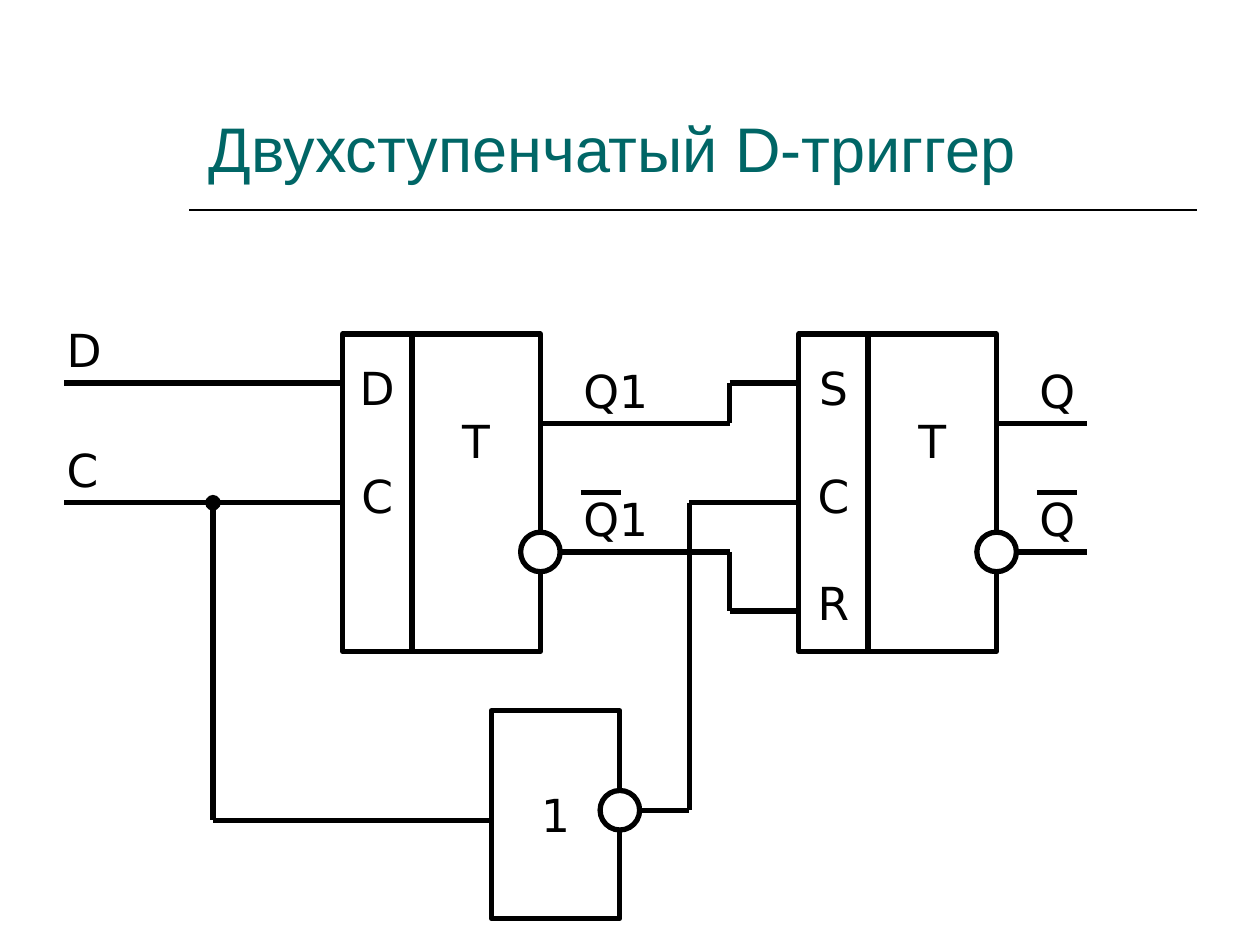
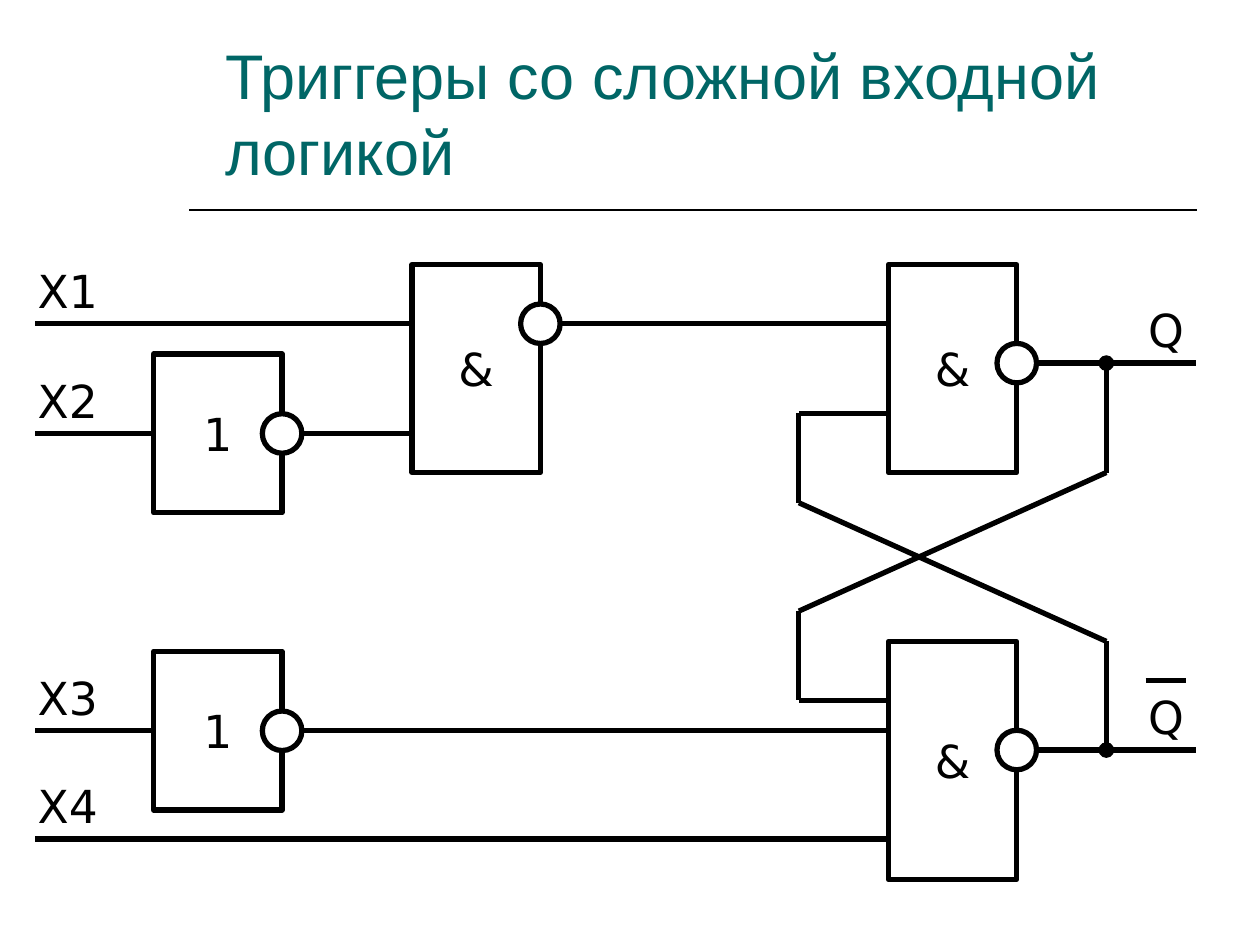
from lxml import etree
from pptx import Presentation
from pptx.dml.color import RGBColor
from pptx.enum.shapes import MSO_CONNECTOR, MSO_SHAPE
from pptx.enum.text import MSO_ANCHOR, PP_ALIGN
from pptx.oxml.ns import qn
from pptx.util import Pt

BLACK = RGBColor(0x00, 0x00, 0x00)
WHITE = RGBColor(0xFF, 0xFF, 0xFF)
TEAL = RGBColor(0x00, 0x66, 0x66)
RECT, OVAL = MSO_SHAPE.RECTANGLE, MSO_SHAPE.OVAL
STRAIGHT = MSO_CONNECTOR.STRAIGHT
TOP, MIDDLE, BOTTOM = MSO_ANCHOR.TOP, MSO_ANCHOR.MIDDLE, MSO_ANCHOR.BOTTOM
LEFT, CENTER = PP_ALIGN.LEFT, PP_ALIGN.CENTER

STROKE = 3
GATE = 73.4      # width of a gate or trigger body
PIN = 39.6       # width of a pin column
TALL = 181.4     # height of a trigger
RING = 22.6      # diameter of an inversion ring
LIFT = 38.2      # label top above its wire
ROW = 30.25      # one line of label text


def put(page, text, x, y, w, h, kind=None, size=26, font="DejaVu Sans",
        color=BLACK, align=LEFT, anchor=TOP, top=3.6, gap=0, wrap=True):
    """Add a text box, or an outlined white shape if kind is given."""
    place = Pt(x), Pt(y), Pt(w), Pt(h)
    if kind is None:
        item = page.shapes.add_textbox(*place)
    else:
        item = page.shapes.add_shape(kind, *place)
        item.shadow.inherit = False
        item.fill.solid()
        item.fill.fore_color.rgb = WHITE
        item.line.color.rgb = BLACK
        item.line.width = Pt(STROKE)
    frame = item.text_frame
    frame.word_wrap = wrap
    frame.vertical_anchor = anchor
    frame.margin_top = Pt(top)
    if text:
        frame.text = text
        for i, para in enumerate(frame.paragraphs):
            para.alignment = align
            if i:
                para.space_before = Pt(gap)
            para.font.size = Pt(size)
            para.font.name = font
            para.font.color.rgb = color
    return item


def wire(page, *spots, dot=False, goal=None, width=STROKE):
    """Join the spots by straight lines; goal is a box met at its left side."""
    for i, (start, end) in enumerate(zip(spots, spots[1:])):
        line = page.shapes.add_connector(STRAIGHT, *map(Pt, start + end))
        line.line.color.rgb = BLACK
        line.line.width = Pt(width)
        if dot and i == 0:
            ln = line.line._get_or_add_ln()
            etree.SubElement(ln, qn("a:headEnd"), type="oval")
        etree.SubElement(line._element.spPr, qn("a:effectLst"))
    if goal is not None:
        line.end_connect(goal, 1)


deck = Presentation()
deck.slide_width, deck.slide_height = Pt(720), Pt(540)

# Titles and the rule below them
titles = [
    ("Двухступенчатый D-триггер", 112.3, 28.1, 567.4, 81.4),
    ("Триггеры со сложной входной логикой", 121.7, 5.8, 564.5, 105.1),
]
pages = []
for title, *box in titles:
    page = deck.slides.add_slide(deck.slide_layouts[6])
    wire(page, (108, 120.2), (684, 120.2), width=1)
    put(page, title, *box, size=36, font="Arial", color=TEAL, anchor=BOTTOM)
    pages.append(page)
master, logic = pages

# Slide 1: two triggers and an inverter
for x, pins in [(195.8, "D\nC"), (456.5, "S\nC\nR")]:
    put(master, pins, x, 190.8, PIN, TALL, kind=RECT, align=CENTER,
        top=15, gap=ROW, wrap=False)
    put(master, "T", x + PIN, 190.8, GATE, TALL, kind=RECT, align=CENTER,
        top=45.3, wrap=False)
put(master, "1", 280.8, 406.1, GATE, 118.8, kind=RECT, align=CENTER,
    anchor=MIDDLE, wrap=False)

data, clock, direct, inverse = 218.9, 287.3, 242, 315.4
wire(master, (36.7, data), (195.8, data))
wire(master, (36.7, clock), (195.8, clock))
wire(master, (121.7, clock), (121.7, 468.7), (280.8, 468.7), dot=True)
wire(master, (354.2, 463), (393.8, 463), (393.8, clock), (456.5, clock))
wire(master, (308.8, direct), (417, direct), (417, data), (456.5, data))
wire(master, (308.8, inverse), (417, inverse), (417, 349.2), (456.5, 349.2))
for y in (direct, inverse):
    wire(master, (569.5, y), (621, y))

# Slide 2: gates with their input and output wires
high, second, third, fourth = 185, 247.7, 417.6, 479.5
out, notout = 207.5, 428.6
for x, y, h in [(235.4, 151.2, 118.8), (507.6, 151.2, 118.8), (507.6, 366.5, 136.1)]:
    put(logic, "&", x, y, GATE, h, kind=RECT, align=CENTER, anchor=MIDDLE, wrap=False)
for y, end in [(second, 235.4), (third, 507.6)]:
    gate = put(logic, "1", 87.8, y - 45.35, GATE, 90.7, kind=RECT, align=CENTER,
               anchor=MIDDLE, wrap=False)
    wire(logic, (20.2, y), (87.8, y), goal=gate)
    wire(logic, (161.2, y), (end, y))
wire(logic, (20.2, high), (235.4, high))
wire(logic, (308.8, high), (507.6, high))
wire(logic, (20.2, fourth), (507.6, fourth))

# Outputs and the crossed feedback
for y, *path in [(out, 270, 349.2, 400.3), (notout, 366.5, 287.3, 236.2)]:
    near, far, entry = path
    wire(logic, (581, y), (683.3, y))
    wire(logic, (632.2, y), (632.2, near), (456.5, far), (456.5, entry),
         (507.6, entry), dot=True)

# Inversion rings, by centre
rings = [
    (master, 308.8, inverse), (master, 569.5, inverse), (master, 354.2, 463),
    (logic, 161.2, second), (logic, 161.2, third), (logic, 308.8, high),
    (logic, 581, out), (logic, 581, notout),
]
for page, x, y in rings:
    put(page, "", x - RING / 2, y - RING / 2, RING, RING, kind=OVAL)

# Wire labels, with the height of the bar above the wire for inverse ones
labels = [
    (master, "D", 31, data, 0), (master, "С", 31, clock, 0),
    (master, "Q1", 326.2, direct, 0), (master, "Q1", 326.2, inverse, 33.9),
    (master, "Q", 586.8, direct, 0), (master, "Q", 586.8, inverse, 33.9),
    (logic, "X1", 14.4, high, 0), (logic, "X2", 14.4, second, 0),
    (logic, "X3", 14.4, third, 0), (logic, "X4", 14.4, fourth, 0),
    (logic, "Q", 649, out, 0), (logic, "Q", 649, notout, 39.8),
]
for page, text, x, y, bar in labels:
    put(page, text, x, y - LIFT, 60, 38.9)
    if bar:
        wire(page, (x + 5.7, y - bar), (x + 28.5, y - bar))

deck.save("out.pptx")
